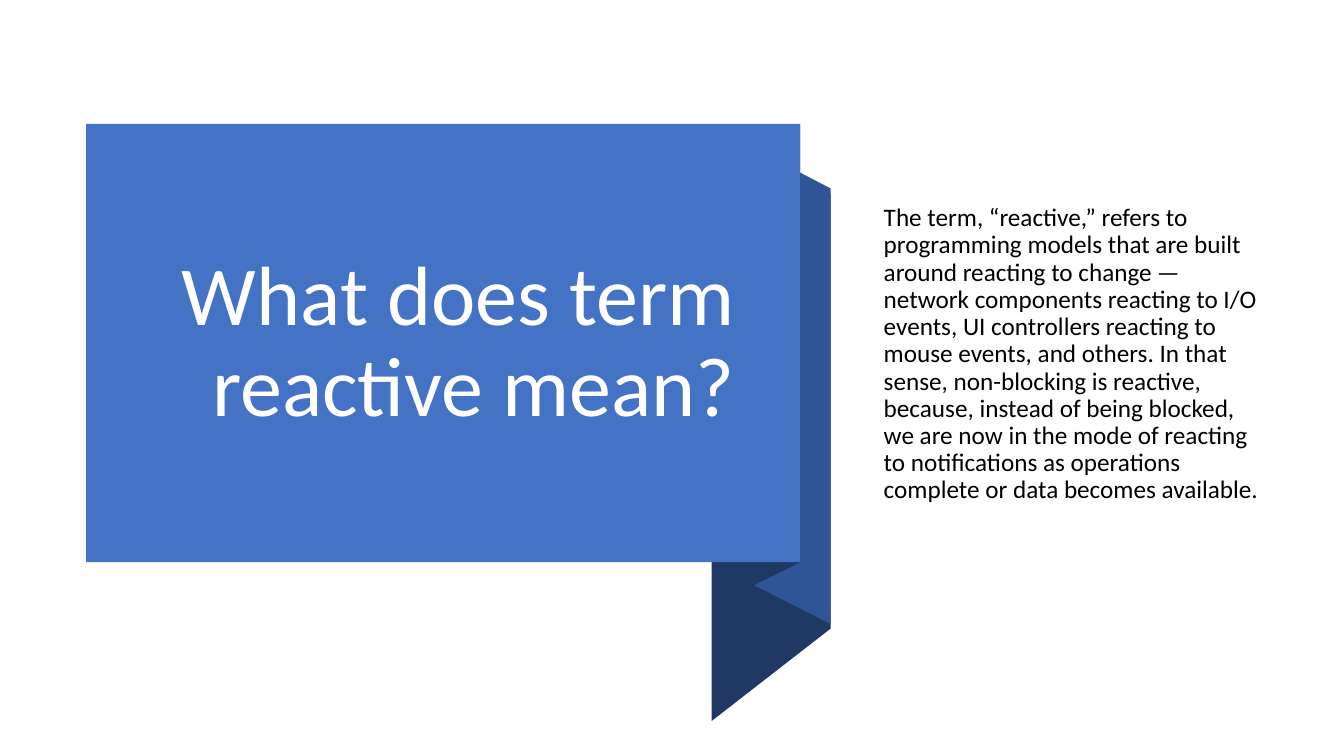
from dataclasses import dataclass

from pptx import Presentation
from pptx.dml.color import RGBColor
from pptx.enum.shapes import MSO_SHAPE
from pptx.enum.text import MSO_ANCHOR, MSO_AUTO_SIZE, PP_ALIGN
from pptx.util import Pt


@dataclass(frozen=True)
class Theme:
    font: str = "Calibri"
    title_size: int = 60
    body_size: int = 18
    panel: str = "4472C4"
    fold: str = "2F5597"
    shade: str = "203864"
    title_color: str = "FFFFFF"
    body_color: str = "000000"


THEME = Theme()

TITLE = "What does term reactive mean?"
BODY = (
    "The term, “reactive,” refers to programming models that are built "
    "around reacting to change\u2009—\u2009network components reacting to I/O "
    "events, UI controllers reacting to mouse events, and others. In that "
    "sense, non-blocking is reactive, because, instead of being blocked, we "
    "are now in the mode of reacting to notifications as operations complete "
    "or data becomes available."
)

# Ribbon edges shared by its parts
TAIL_LEFT, FOLD_LEFT, PANEL_RIGHT, FOLD_RIGHT = 508.3, 539.3, 571.5, 593.3


def paint(shape, color):
    shape.shadow.inherit = False
    shape.fill.solid()
    shape.fill.fore_color.rgb = RGBColor.from_string(color)
    shape.line.fill.background()


def add_band(page, left, right, left_span, right_span, color):
    """Draw a band with upright sides; each span is (top, bottom)."""
    corners = [
        (right, right_span[1]),
        (left, left_span[1]),
        (left, left_span[0]),
        (right, right_span[0]),
    ]
    points = [(Pt(x), Pt(y)) for x, y in corners]
    builder = page.shapes.build_freeform(*points[0])
    builder.add_line_segments(points[1:], close=True)
    paint(builder.convert_to_shape(), color)


def add_panel(page, left, top, width, height, color):
    panel = page.shapes.add_shape(
        MSO_SHAPE.RECTANGLE, Pt(left), Pt(top), Pt(width), Pt(height)
    )
    paint(panel, color)


def set_text(box, text, size, color, align, space_before=0):
    frame = box.text_frame
    frame.text = text
    frame.word_wrap = True
    frame.auto_size = MSO_AUTO_SIZE.NONE
    frame.vertical_anchor = MSO_ANCHOR.MIDDLE
    para = frame.paragraphs[0]
    para.alignment = align
    para.line_spacing = 0.9
    para.space_before = Pt(space_before)
    for span in para.runs:
        span.font.name = THEME.font
        span.font.size = Pt(size)
        span.font.color.rgb = RGBColor.from_string(color)


def place_title(page, left, top, width, height):
    title = page.shapes.title
    title.left, title.top = Pt(left), Pt(top)
    title.width, title.height = Pt(width), Pt(height)
    # Bring the title in front of the panel
    tree = title.element.getparent()
    tree.remove(title.element)
    tree.append(title.element)
    set_text(title, TITLE, THEME.title_size, THEME.title_color, PP_ALIGN.RIGHT)


def add_body(page, left, top, width, height):
    box = page.shapes.add_textbox(Pt(left), Pt(top), Pt(width), Pt(height))
    set_text(box, BODY, THEME.body_size, THEME.body_color, PP_ALIGN.LEFT, 10)


def main():
    deck = Presentation()
    deck.slide_width, deck.slide_height = Pt(960), Pt(540)
    page = deck.slides.add_slide(deck.slide_layouts[5])

    # Folded ribbon: tail, side and inner fold
    add_band(page, TAIL_LEFT, FOLD_RIGHT, (204.5, 515), (138.2, 449), THEME.shade)
    add_band(page, FOLD_LEFT, FOLD_RIGHT, (106.6, 418.3), (134.6, 445.7), THEME.fold)
    add_band(page, FOLD_LEFT, PANEL_RIGHT, (105.1, 417.6), (89.3, 401.8), THEME.shade)

    # Front panel and text
    add_panel(page, 61.5, 88.5, PANEL_RIGHT - 61.5, 313, THEME.panel)
    place_title(page, 108, 113.8, 424, 263.5)
    add_body(page, 624.2, 116.6, 290.2, 273.6)

    deck.save("out.pptx")


main()
